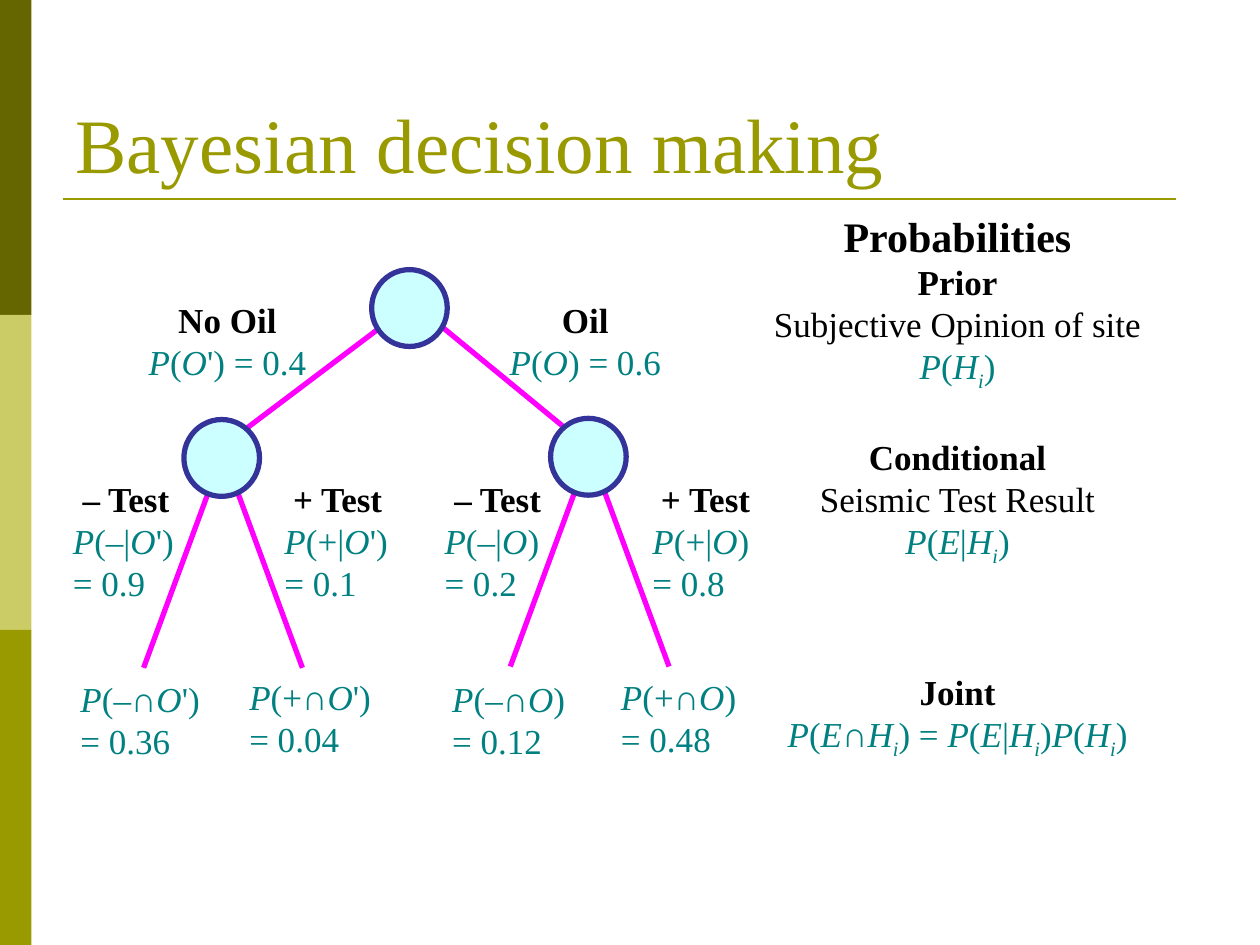
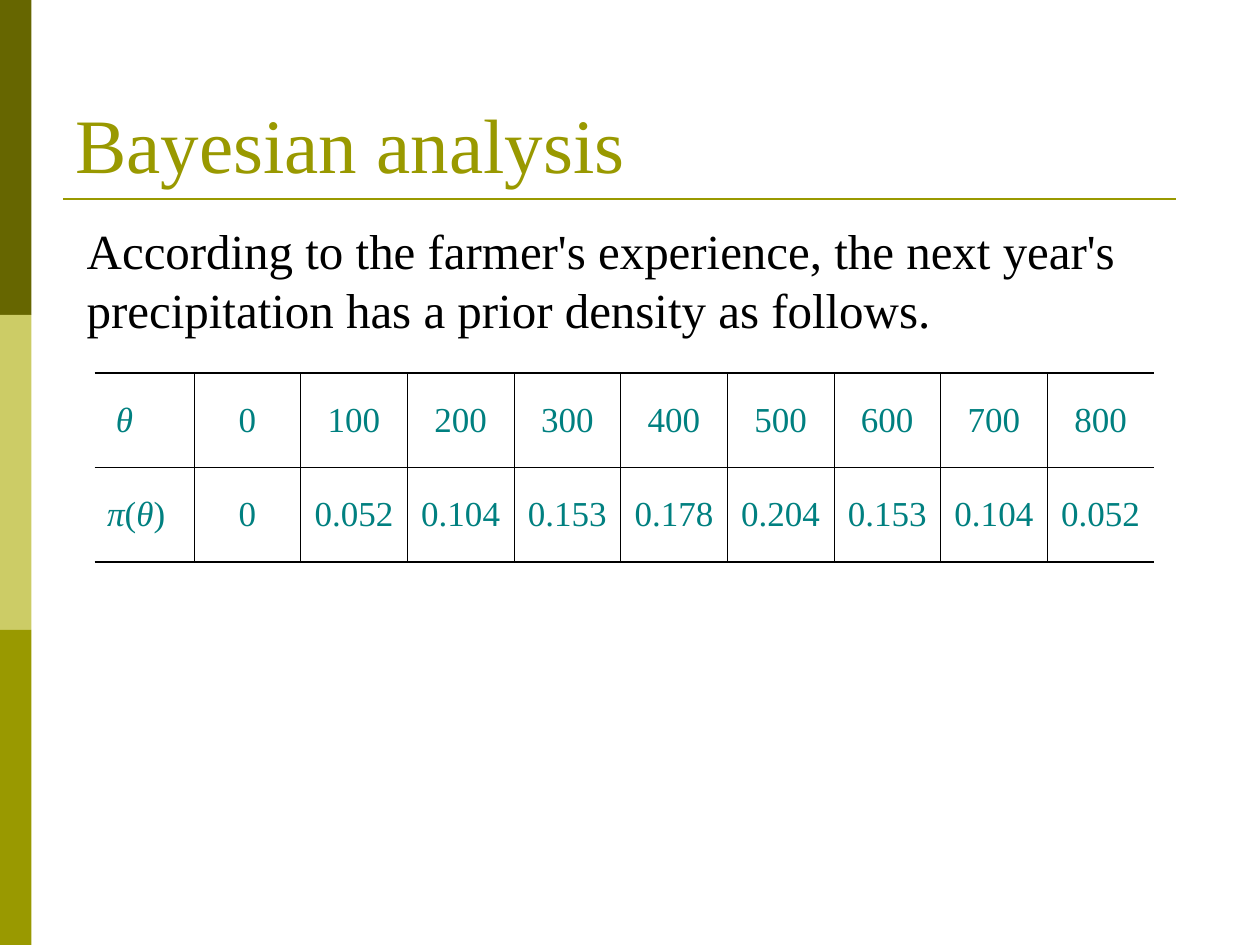
from dataclasses import dataclass
from itertools import groupby

from lxml import etree
from pptx import Presentation
from pptx.dml.color import RGBColor
from pptx.enum.shapes import MSO_CONNECTOR, MSO_SHAPE
from pptx.enum.text import MSO_ANCHOR, PP_ALIGN
from pptx.oxml.ns import qn
from pptx.util import Inches, Pt

LEFT, CENTER = PP_ALIGN.LEFT, PP_ALIGN.CENTER
TOP, MIDDLE, BOTTOM = MSO_ANCHOR.TOP, MSO_ANCHOR.MIDDLE, MSO_ANCHOR.BOTTOM
RECTANGLE, OVAL = MSO_SHAPE.RECTANGLE, MSO_SHAPE.OVAL
STRAIGHT = MSO_CONNECTOR.STRAIGHT


@dataclass(frozen=True)
class Theme:
    font: str = "Times New Roman"
    bands: tuple = ("666600", "CCCC66", "999900")
    accent: str = "999900"
    text: str = "000000"
    formula: str = "008080"
    branch: str = "FF00FF"
    node_fill: str = "CCFFFF"
    node_line: str = "333399"
    title_size: float = 44
    body_size: float = 28
    section_size: float = 24
    label_size: float = 20
    rule_width: float = 1.5
    tree_width: float = 3
    outer_border: float = 1.08
    inner_border: float = 0.45


THEME = Theme()


@dataclass(frozen=True)
class Style:
    size: float
    color: str
    bold: bool = False
    alignment: PP_ALIGN = LEFT
    is_formula: bool = False


TITLE = Style(THEME.title_size, THEME.accent)
BODY = Style(THEME.body_size, THEME.text)
SECTION = Style(THEME.section_size, THEME.text, True, CENTER)
HEADING = Style(THEME.label_size, THEME.text, True, CENTER)
CAPTION = Style(THEME.label_size, THEME.text, False, CENTER)
FORMULA = Style(THEME.label_size, THEME.formula, is_formula=True)
CENTERED_FORMULA = Style(THEME.label_size, THEME.formula, False, CENTER, True)


@dataclass(frozen=True)
class TextLine:
    text: str
    style: Style


@dataclass(frozen=True)
class Label:
    left: float
    top: float
    width: float
    height: float
    lines: tuple[TextLine, ...]


@dataclass(frozen=True)
class Branch:
    start: tuple[float, float]
    end: tuple[float, float]


@dataclass(frozen=True)
class Node:
    left: float
    top: float
    branches: tuple[Branch, ...]


SITE_BRANCHES = (
    Branch((0.16, 0.39), (-1.02, 1.28)),
    Branch((0.48, 0.39), (1.66, 1.36)),
)
TEST_BRANCHES = (
    Branch((0.23, 0.48), (-0.32, 1.97)),
    Branch((0.39, 0.48), (0.94, 1.97)),
)
NODES = (
    Node(2.95, 2.14, SITE_BRANCHES),
    Node(1.46, 3.33, TEST_BRANCHES),
    Node(4.37, 3.32, TEST_BRANCHES),
)


def site_label(left: float, name: str, formula: str) -> Label:
    lines = (TextLine(name, HEADING), TextLine(formula, CENTERED_FORMULA))
    return Label(left, 2.32, 1.65, 0.77, lines)


def test_label(left: float, sign: str, site: str, value: str) -> Label:
    lines = (
        TextLine(f"{sign} Test", HEADING),
        TextLine(f"P({sign}|{site})", FORMULA),
        TextLine(f"= {value}", FORMULA),
    )
    return Label(left, 3.74, 1.04, 1.1, lines)


def joint_label(left: float, top: float, sign: str, site: str, value: str) -> Label:
    lines = (TextLine(f"P({sign}∩{site})", FORMULA), TextLine(f"= {value}", FORMULA))
    return Label(left, top, 1.31, 0.77, lines)


def probability_label(top: float, height: float, *lines: TextLine) -> Label:
    return Label(5.87, top, 3.46, height, lines)


LABELS = (
    site_label(0.98, "No Oil", "P(O') = 0.4"),
    site_label(3.82, "Oil", "P(O) = 0.6"),
    test_label(0.48, "–", "O'", "0.9"),
    test_label(2.16, "+", "O'", "0.1"),
    test_label(3.43, "–", "O", "0.2"),
    test_label(5.08, "+", "O", "0.8"),
    joint_label(0.54, 5.33, "–", "O'", "0.36"),
    joint_label(1.88, 5.31, "+", "O'", "0.04"),
    joint_label(3.49, 5.33, "–", "O", "0.12"),
    joint_label(4.83, 5.31, "+", "O", "0.48"),
    probability_label(
        1.62, 1.55,
        TextLine("Probabilities", SECTION),
        TextLine("Prior", HEADING),
        TextLine("Subjective Opinion of site", CAPTION),
        TextLine("P(Hi)", CENTERED_FORMULA),
    ),
    probability_label(
        3.41, 1.15,
        TextLine("Conditional", HEADING),
        TextLine("Seismic Test Result", CAPTION),
        TextLine("P(E|Hi)", CENTERED_FORMULA),
    ),
    probability_label(
        5.27, 0.82,
        TextLine("Joint", HEADING),
        TextLine("P(E∩Hi) = P(E|Hi)P(Hi)", CENTERED_FORMULA),
    ),
)

PRIOR_DENSITY = (
    ("θ", "0", "100", "200", "300", "400", "500", "600", "700", "800"),
    ("π(θ)", "0", "0.052", "0.104", "0.153", "0.178", "0.204", "0.153", "0.104", "0.052"),
)


def rgb(color: str) -> RGBColor:
    return RGBColor.from_string(color)


def write_line(paragraph, line: TextLine) -> None:
    style = line.style
    paragraph.alignment = style.alignment
    font = paragraph.font
    font.name = THEME.font
    font.size = Pt(style.size)
    font.bold = style.bold
    font.color.rgb = rgb(style.color)
    if not style.is_formula:
        paragraph.add_run().text = line.text
        return
    for (is_letter, is_index), symbols in groupby(
        line.text, lambda symbol: (symbol.isalpha(), symbol == "i")
    ):
        run = paragraph.add_run()
        run.text = "".join(symbols)
        run.font.italic = is_letter
        if is_index:
            run._r.get_or_add_rPr().set("baseline", "-25000")


def add_label(slide, label: Label, anchor: MSO_ANCHOR = TOP) -> None:
    shape = slide.shapes.add_textbox(
        Inches(label.left), Inches(label.top), Inches(label.width), Inches(label.height)
    )
    frame = shape.text_frame
    frame.word_wrap = True
    frame.vertical_anchor = anchor
    for index, line in enumerate(label.lines):
        paragraph = frame.add_paragraph() if index else frame.paragraphs[0]
        write_line(paragraph, line)


def add_line(slide, start: tuple, end: tuple, color: str, width: float) -> None:
    connector = slide.shapes.add_connector(
        STRAIGHT, *(Inches(value) for value in (*start, *end))
    )
    connector.line.color.rgb = rgb(color)
    connector.line.width = Pt(width)
    etree.SubElement(connector._element.spPr, qn("a:effectLst"))


def add_filled_shape(slide, preset: MSO_SHAPE, box: tuple, fill: str):
    shape = slide.shapes.add_shape(preset, *(Inches(value) for value in box))
    shape.shadow.inherit = False
    shape.fill.solid()
    shape.fill.fore_color.rgb = rgb(fill)
    shape.line.fill.background()
    return shape


def add_titled_slide(presentation, title: str):
    slide = presentation.slides.add_slide(presentation.slide_layouts[6])
    for index, color in enumerate(THEME.bands):
        add_filled_shape(slide, RECTANGLE, (0, 2.5 * index, 0.25, 2.5), color)
    add_line(slide, (0.5, 1.58), (9.33, 1.58), THEME.accent, THEME.rule_width)
    add_label(slide, Label(0.5, 0.3, 9, 1.25, (TextLine(title, TITLE),)), BOTTOM)
    return slide


def add_node(slide, node: Node) -> None:
    for branch in node.branches:
        start, end = (
            (node.left + x, node.top + y) for x, y in (branch.start, branch.end)
        )
        add_line(slide, start, end, THEME.branch, THEME.tree_width)
    circle = add_filled_shape(
        slide, OVAL, (node.left, node.top, 0.6, 0.61), THEME.node_fill
    )
    circle.line.color.rgb = rgb(THEME.node_line)
    circle.line.width = Pt(THEME.tree_width)


def set_borders(cell, widths: dict[str, float]) -> None:
    properties = cell._tc.get_or_add_tcPr()
    for side, width in widths.items():
        border = etree.SubElement(properties, qn(f"a:ln{side}"), w=str(Pt(width)))
        if width:
            fill = etree.SubElement(border, qn("a:solidFill"))
            etree.SubElement(fill, qn("a:srgbClr"), val=THEME.text)
        else:
            etree.SubElement(border, qn("a:noFill"))


def add_density_table(slide) -> None:
    row_count, column_count = len(PRIOR_DENSITY), len(PRIOR_DENSITY[0])
    total_width, first_width, row_height = 8.41, 0.79, 0.75
    table = slide.shapes.add_table(
        row_count, column_count, Inches(0.75), Inches(2.96),
        Inches(total_width), Inches(row_height * row_count),
    ).table
    table.first_row = table.horz_banding = False
    value_width = (total_width - first_width) / (column_count - 1)
    for index, column in enumerate(table.columns):
        column.width = Inches(value_width if index else first_width)
    for row_index, values in enumerate(PRIOR_DENSITY):
        table.rows[row_index].height = Inches(row_height)
        for column_index, value in enumerate(values):
            cell = table.cell(row_index, column_index)
            is_last_column = column_index == column_count - 1
            is_last_row = row_index == row_count - 1
            set_borders(cell, {
                "L": THEME.inner_border if column_index else 0,
                "R": 0 if is_last_column else THEME.inner_border,
                "T": THEME.inner_border if row_index else THEME.outer_border,
                "B": THEME.outer_border if is_last_row else THEME.inner_border,
            })
            cell.fill.background()
            cell.vertical_anchor = MIDDLE
            style = CENTERED_FORMULA if column_index else FORMULA
            write_line(cell.text_frame.paragraphs[0], TextLine(value, style))
    table.cell(0, 0).margin_left = Inches(0.17)


def build_decision_slide(presentation) -> None:
    slide = add_titled_slide(presentation, "Bayesian decision making")
    for node in NODES:
        add_node(slide, node)
    for label in LABELS:
        add_label(slide, label)


def build_analysis_slide(presentation) -> None:
    slide = add_titled_slide(presentation, "Bayesian analysis")
    sentence = (
        "According to the farmer's experience, the next year's "
        "precipitation has a prior density as follows."
    )
    add_label(slide, Label(0.59, 1.7, 9.06, 1.04, (TextLine(sentence, BODY),)))
    add_density_table(slide)


def main() -> None:
    presentation = Presentation()
    presentation.slide_width, presentation.slide_height = Inches(10), Inches(7.5)
    build_decision_slide(presentation)
    build_analysis_slide(presentation)
    presentation.save("out.pptx")


if __name__ == "__main__":
    main()
